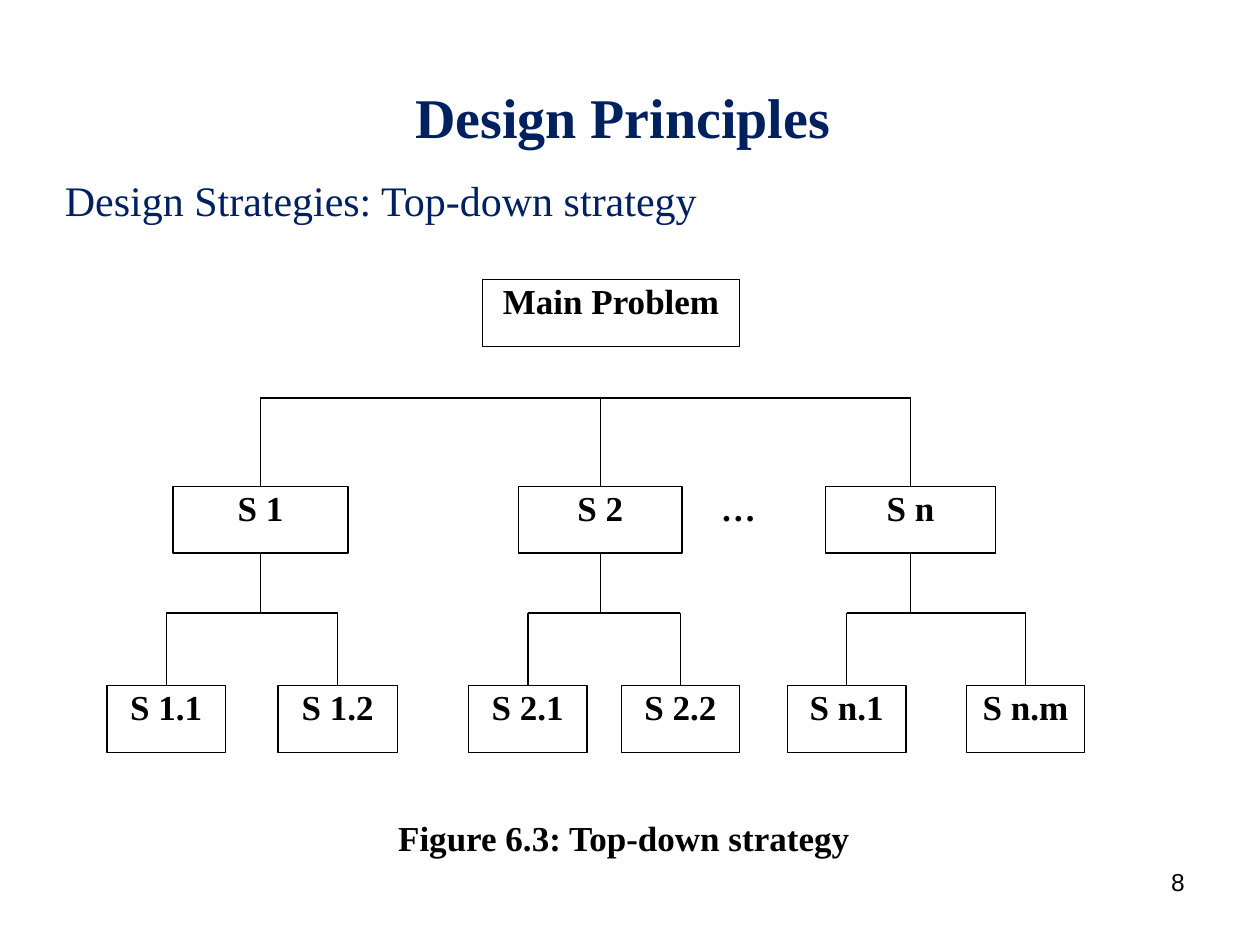
from dataclasses import dataclass

from lxml import etree
from pptx import Presentation
from pptx import util as u
from pptx.dml.color import RGBColor
from pptx.enum import shapes, text
from pptx.oxml.ns import qn

COLORS = {"navy": "002060", "black": "000000", "white": "FFFFFF"}
SERIF = "Times New Roman"
BOX_HEIGHT = 38.2
MAIN_TOP, STEP_TOP, LEAF_TOP = 159.8, 277.9, 391.7
STEP_BAR, LEAF_BAR = 227.5, 350.3


@dataclass(frozen=True)
class Node:
    label: str
    left: float
    width: float
    children: tuple["Node", ...] = ()

    @property
    def center(self) -> float:
        return self.left + self.width / 2


STEPS = (
    Node("S 1", 98.8, 100.1, (Node("S 1.1", 61.2, 67.7), Node("S 1.2", 158.8, 68.4))),
    Node("S 2", 296.2, 93.6, (Node("S 2.1", 267.8, 67.7), Node("S 2.2", 355, 67.7))),
    Node("S n", 471.6, 97.4, (Node("S n.1", 450, 67.7), Node("S n.m", 552.2, 67.7))),
)


def color(name: str) -> RGBColor:
    return RGBColor.from_string(COLORS[name])


def write(box, words: str, size: float, font: str = SERIF, ink: str = "black",
          bold: bool = False, align=text.PP_ALIGN.LEFT,
          anchor=text.MSO_ANCHOR.TOP) -> None:
    frame = box.text_frame
    frame.word_wrap = True
    frame.vertical_anchor = anchor
    para = frame.paragraphs[0]
    para.text = words
    para.alignment = align
    para.font.name = font
    para.font.size = u.Pt(size)
    para.font.bold = bold
    para.font.color.rgb = color(ink)


def add_text(page, left: float, top: float, width: float, height: float,
             words: str, size: float, **style) -> None:
    box = page.shapes.add_textbox(u.Pt(left), u.Pt(top), u.Pt(width), u.Pt(height))
    write(box, words, size, **style)


def add_box(page, left: float, top: float, width: float, height: float,
            words: str, outline: str = "black", align=text.PP_ALIGN.CENTER) -> None:
    box = page.shapes.add_shape(shapes.MSO_SHAPE.RECTANGLE, u.Pt(left), u.Pt(top),
                                u.Pt(width), u.Pt(height))
    box.shadow.inherit = False
    box.fill.solid()
    box.fill.fore_color.rgb = color("white")
    box.line.color.rgb = color(outline)
    box.line.width = u.Pt(0.75)
    frame = box.text_frame
    frame.margin_left = frame.margin_right = u.Pt(0)
    frame.margin_top = frame.margin_bottom = u.Pt(0)
    write(box, words, 20, bold=True, align=align)


def add_line(page, x1: float, y1: float, x2: float, y2: float) -> None:
    line = page.shapes.add_connector(shapes.MSO_CONNECTOR.STRAIGHT, u.Pt(x1), u.Pt(y1),
                                     u.Pt(x2), u.Pt(y2))
    line.line.color.rgb = color("black")
    line.line.width = u.Pt(0.75)
    etree.SubElement(line._element.spPr, qn("a:effectLst"))


def add_branches(page, nodes: tuple[Node, ...], bar: float, top: float) -> None:
    """Draw a row of boxes hanging from one horizontal bar."""
    add_line(page, nodes[0].center, bar, nodes[-1].center, bar)
    for node in nodes:
        add_line(page, node.center, bar, node.center, top)
        add_box(page, node.left, top, node.width, BOX_HEIGHT, node.label)


def main() -> None:
    deck = Presentation()
    deck.slide_width, deck.slide_height = u.Pt(720), u.Pt(540)
    page = deck.slides.add_slide(deck.slide_layouts[6])

    # Headings and page number
    add_text(page, 36, 21.6, 648, 90, "Design Principles ", 32, ink="navy", bold=True,
             align=text.PP_ALIGN.CENTER, anchor=text.MSO_ANCHOR.MIDDLE)
    add_text(page, 30, 96, 648, 48, "Design Strategies: Top-down strategy", 24, ink="navy")
    add_text(page, 516, 492, 168, 37.4, "8", 14, font="Arial", align=text.PP_ALIGN.RIGHT)

    # Problem tree
    add_box(page, 275.8, MAIN_TOP, 146.9, BOX_HEIGHT, "Main Problem")
    add_branches(page, STEPS, STEP_BAR, STEP_TOP)
    for step in STEPS:
        add_line(page, step.center, STEP_TOP + BOX_HEIGHT, step.center, LEAF_BAR)
        add_branches(page, step.children, LEAF_BAR, LEAF_TOP)

    # Ellipsis and caption
    add_box(page, 412, STEP_TOP, 30.2, 37.4, "…", "white", text.PP_ALIGN.LEFT)
    add_box(page, 227.5, 466.6, 274.3, 34.6, "Figure 6.3: Top-down strategy", "white",
            text.PP_ALIGN.LEFT)

    deck.save("out.pptx")


if __name__ == "__main__":
    main()
